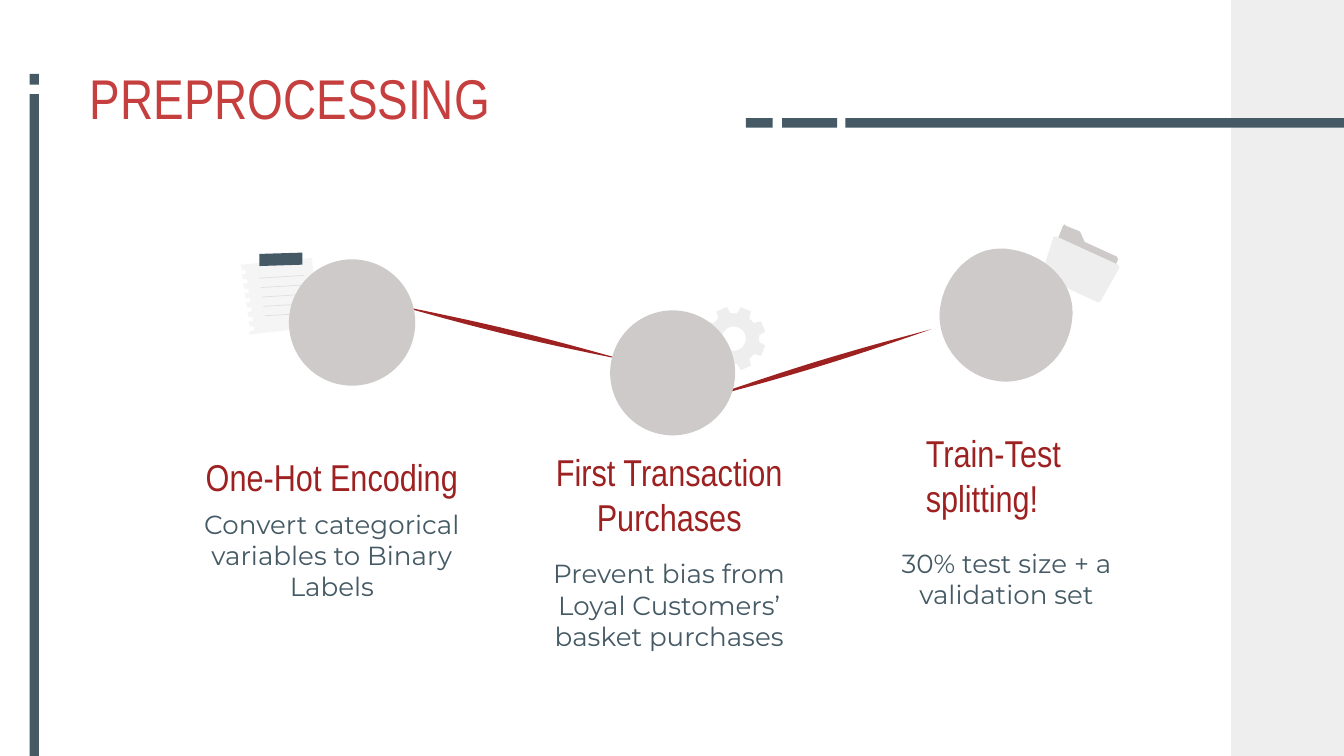
"""Build the preprocessing slide: three linked steps with small icons."""
from math import cos, hypot, pi, radians, sin

from lxml.etree import SubElement
from pptx import Presentation
from pptx.dml.color import RGBColor
from pptx.enum.shapes import MSO_CONNECTOR, MSO_SHAPE
from pptx.enum.text import MSO_ANCHOR, PP_ALIGN
from pptx.oxml.ns import qn
from pptx.util import Inches, Pt

W = 10
H = W * 9 / 16
COLORS = {"slate": "455A64", "red": "C53F3F", "dark_red": "9E2121", "disc": "CECACA",
          "light": "EEEEEE", "paper": "F5F5F5", "rule": "E0E0E0"}
FORMATS = {
    "title": {"size": Pt(30), "name": "Arial Narrow", "color": "red"},
    "heading": {"size": Pt(20), "name": "Arial Narrow", "color": "dark_red"},
    "body": {"size": Pt(14), "name": "Montserrat", "color": "slate"},
}
TITLE = "PREPROCESSING"
STEPS = [
    {"heading": "One-Hot Encoding", "body": "Convert categorical variables to Binary Labels",
     "tops": (3.29, 3.68), "indent": 0},
    {"heading": "First Transaction Purchases",
     "body": "Prevent bias from Loyal Customers’ basket purchases",
     "tops": (3.59, 4.05), "indent": 0},
    {"heading": "Train-Test splitting!", "body": "30% test size + a validation set",
     "tops": (3.45, 3.97), "indent": 0.5},
]
COL_LEFT, COL_STEP, COL_W, HEAD_H, BODY_H = 1.27, 2.51, 2.4, 0.52, 0.84
BAR = 0.07
BARS = [(6.29, 0.88, 5.11, BAR), (5.82, 0.88, 0.41, BAR), (5.55, 0.88, 0.2, BAR),
        (0.22, 0.7, BAR, 5.53), (0.22, 0.55, BAR, 0.08)]
LINKS = [((2.95, 2.27), (4.65, 2.68)), ((5.23, 2.97), (6.93, 2.45))]
DISCS = [(2.15, 1.93, 0.94), (4.54, 2.31, 0.93)]
BLOB = [(7.44, 1.85), (7.19, 1.85), (6.99, 2.1), (6.99, 2.36), (7, 2.62), (7.22, 2.84),
        (7.49, 2.84), (7.77, 2.83), (7.97, 2.61), (7.98, 2.34), (7.99, 2.09),
        (7.77, 1.88), (7.48, 1.85), (7.47, 1.85), (7.46, 1.85), (7.44, 1.85)]
FOLDER = {
    "disc": [(7.92, 1.67), (7.91, 1.68), (7.82, 1.91), (7.83, 1.93), (8.22, 2.11),
             (8.24, 2.1), (8.32, 1.93), (8.31, 1.91), (8.07, 1.8), (8.04, 1.73),
             (8.03, 1.72), (7.93, 1.68)],
    "light": [(7.85, 1.76), (7.84, 1.76), (7.75, 2.04), (7.76, 2.06), (8.17, 2.25),
              (8.19, 2.24), (8.33, 1.99), (8.32, 1.97), (7.86, 1.76)],
}
GEAR = {"center": (5.46, 2.52), "teeth": 8, "tip": 0.24, "root": 0.19, "hole": 0.09}
CLIP = [(2.25, 1.88), (1.93, 1.89), (1.93, 1.98), (2.25, 1.97)]
NOTCHES, RULES = 7, 5


def paint(s, color):
    s.shadow.inherit = False
    s.fill.solid()
    s.fill.fore_color.rgb = RGBColor.from_string(COLORS[color])
    s.line.fill.background()


def preset(shapes, kind, box, color):
    paint(shapes.add_shape(kind, *map(Inches, box)), color)


def outline(shapes, color, *contours):
    paths = [[(Inches(x), Inches(y)) for x, y in c] for c in contours]
    fb = shapes.build_freeform(*paths[0][0])
    fb.add_line_segments(paths[0][1:])
    for path in paths[1:]:
        fb.move_to(*path[0])
        fb.add_line_segments(path[1:])
    paint(fb.convert_to_shape(), color)


def text(shapes, box, content, style, align=PP_ALIGN.CENTER, anchor=MSO_ANCHOR.TOP, indent=0):
    tf = shapes.add_textbox(*map(Inches, box)).text_frame
    frame = {"word_wrap": True, "vertical_anchor": anchor}
    frame |= {f"margin_{side}": Inches(0.1) for side in ("left", "top", "right", "bottom")}
    for key, value in frame.items():
        setattr(tf, key, value)
    p = tf.paragraphs[0]
    p.alignment = align
    if indent:
        p._p.get_or_add_pPr().set("marL", str(Inches(indent)))
    r = p.add_run()
    r.text = content
    for key in ("size", "name"):
        setattr(r.font, key, FORMATS[style][key])
    r.font.color.rgb = RGBColor.from_string(COLORS[FORMATS[style]["color"]])


def polar(center, radius, degrees):
    a = radians(degrees)
    return center[0] + radius * cos(a), center[1] + radius * sin(a)


def bezier(points, n=16):
    curve = []
    for i in range(0, len(points) - 1, 3):
        for t in (k / n for k in range(n)):
            weights = ((1 - t) ** 3, 3 * t * (1 - t) ** 2, 3 * t * t * (1 - t), t ** 3)
            curve.append(tuple(sum(w * q[axis] for w, q in zip(weights, points[i:i + 4]))
                               for axis in (0, 1)))
    return curve


def lens(start, end, half=0.02, n=20):
    dx, dy = end[0] - start[0], end[1] - start[1]
    length = hypot(dx, dy)

    def side(sign):
        return [(start[0] + dx * k / n - sign * half * sin(pi * k / n) * dy / length,
                 start[1] + dy * k / n + sign * half * sin(pi * k / n) * dx / length)
                for k in range(n + 1)]
    return side(1) + side(-1)[::-1]


def gear(center, teeth, tip, root, hole):
    pitch = 360 / teeth
    rim = [polar(center, radius, (k + 0.5) * pitch + turn) for k in range(teeth)
           for radius, turn in ((root, -15), (tip, -10), (tip, 10), (root, 15))]
    return rim, [polar(center, hole, -10 * k) for k in range(36)]


def notepad(shapes):
    edge = []
    for k in range(NOTCHES):
        x, y = 1.8 + 0.01 * k, 2.01 + 0.07 * k
        edge += [(x, y), (x + 0.03, y), (x + 0.03, y + 0.03), (x, y + 0.03)]
    outline(shapes, "paper", [(2.32, 1.92), (1.79, 1.97)] + edge + [(1.85, 2.49), (2.38, 2.43)])
    outline(shapes, "slate", CLIP)
    for k in range(RULES):
        x, y = 1.93 + 0.01 * k, 2.07 + 0.07 * k
        c = shapes.add_connector(MSO_CONNECTOR.STRAIGHT, *map(Inches, (x, y, x + 0.33, y - 0.02)))
        c.line.width = Pt(0.4)
        c.line.color.rgb = RGBColor.from_string(COLORS["rule"])
        SubElement(c._element.spPr, qn("a:effectLst"))


def main():
    prs = Presentation()
    prs.slide_width, prs.slide_height = Inches(W), Inches(H)
    shapes = prs.slides.add_slide(prs.slide_layouts[6]).shapes
    preset(shapes, MSO_SHAPE.RECTANGLE, (9.16, -0.08, 1.42, 5.78), "light")
    for box in BARS:
        preset(shapes, MSO_SHAPE.RECTANGLE, box, "slate")
    text(shapes, (0.57, 0.37, 6.98, 0.63), TITLE, "title", PP_ALIGN.LEFT)
    for i, step in enumerate(STEPS):
        left = COL_LEFT + i * COL_STEP
        head_top, body_top = step["tops"]
        align = PP_ALIGN.LEFT if step["indent"] else PP_ALIGN.CENTER
        text(shapes, (left, head_top, COL_W, HEAD_H), step["heading"], "heading",
             align, MSO_ANCHOR.BOTTOM, step["indent"])
        text(shapes, (left, body_top, COL_W, BODY_H), step["body"], "body")
    for color, points in FOLDER.items():
        outline(shapes, color, points)
    outline(shapes, "light", *gear(**GEAR))
    for start, end in LINKS:
        outline(shapes, "dark_red", lens(start, end))
    notepad(shapes)
    for x, y, size in DISCS:
        preset(shapes, MSO_SHAPE.OVAL, (x, y, size, size), "disc")
    outline(shapes, "disc", bezier(BLOB))
    prs.save("out.pptx")


if __name__ == "__main__":
    main()
